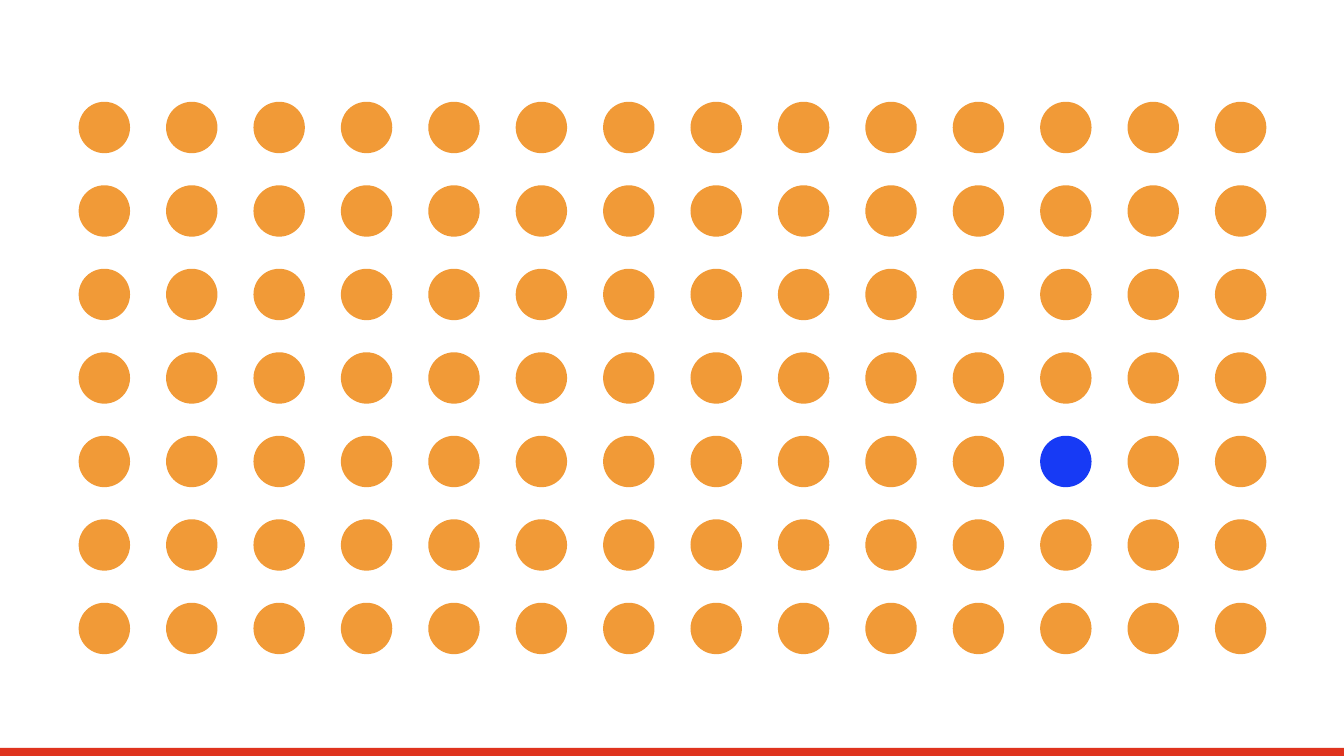
from pptx import Presentation
from pptx import util as u
from pptx.dml.color import RGBColor
from pptx.enum import shapes

ORANGE = RGBColor(0xF1, 0x9A, 0x37)
BLUE = RGBColor(0x17, 0x3A, 0xF5)
RED = RGBColor(0xDF, 0x33, 0x1E)
WHITE = RGBColor(0xFF, 0xFF, 0xFF)

SLIDE_WIDTH, SLIDE_HEIGHT = 13.33, 7.5
COLUMNS, ROWS = 14, 7
FIRST_LEFT, LAST_LEFT = 0.78, 12.05
FIRST_TOP, LAST_TOP = 1.01, 5.98
DOT_SIZE = 0.51
ODD_ONE_OUT = (4, 11)
FOOTER_HEIGHT = 0.08


class DotSlide:
    """Draws flat, borderless shapes on one slide."""

    def __init__(self, slide):
        self.slide = slide
        background = slide.background.fill
        background.solid()
        background.fore_color.rgb = WHITE

    def flat_shape(self, kind, left, top, width, height, color):
        shape = self.slide.shapes.add_shape(
            kind, u.Inches(left), u.Inches(top), u.Inches(width), u.Inches(height)
        )
        shape.shadow.inherit = False
        shape.fill.solid()
        shape.fill.fore_color.rgb = color
        shape.line.fill.background()

    def footer_bar(self):
        self.flat_shape(
            shapes.MSO_SHAPE.RECTANGLE,
            0, SLIDE_HEIGHT - FOOTER_HEIGHT, SLIDE_WIDTH, FOOTER_HEIGHT, RED,
        )

    def dot(self, left, top, color):
        self.flat_shape(shapes.MSO_SHAPE.OVAL, left, top, DOT_SIZE, DOT_SIZE, color)

    def dot_grid(self):
        column_step = (LAST_LEFT - FIRST_LEFT) / (COLUMNS - 1)
        row_step = (LAST_TOP - FIRST_TOP) / (ROWS - 1)
        for row in range(ROWS):
            for column in range(COLUMNS):
                color = BLUE if (row, column) == ODD_ONE_OUT else ORANGE
                self.dot(FIRST_LEFT + column * column_step, FIRST_TOP + row * row_step, color)


def main():
    deck = Presentation()
    deck.slide_width = u.Inches(SLIDE_WIDTH)
    deck.slide_height = u.Inches(SLIDE_HEIGHT)
    dots = DotSlide(deck.slides.add_slide(deck.slide_layouts[6]))
    dots.footer_bar()
    dots.dot_grid()
    deck.save("out.pptx")


if __name__ == "__main__":
    main()
